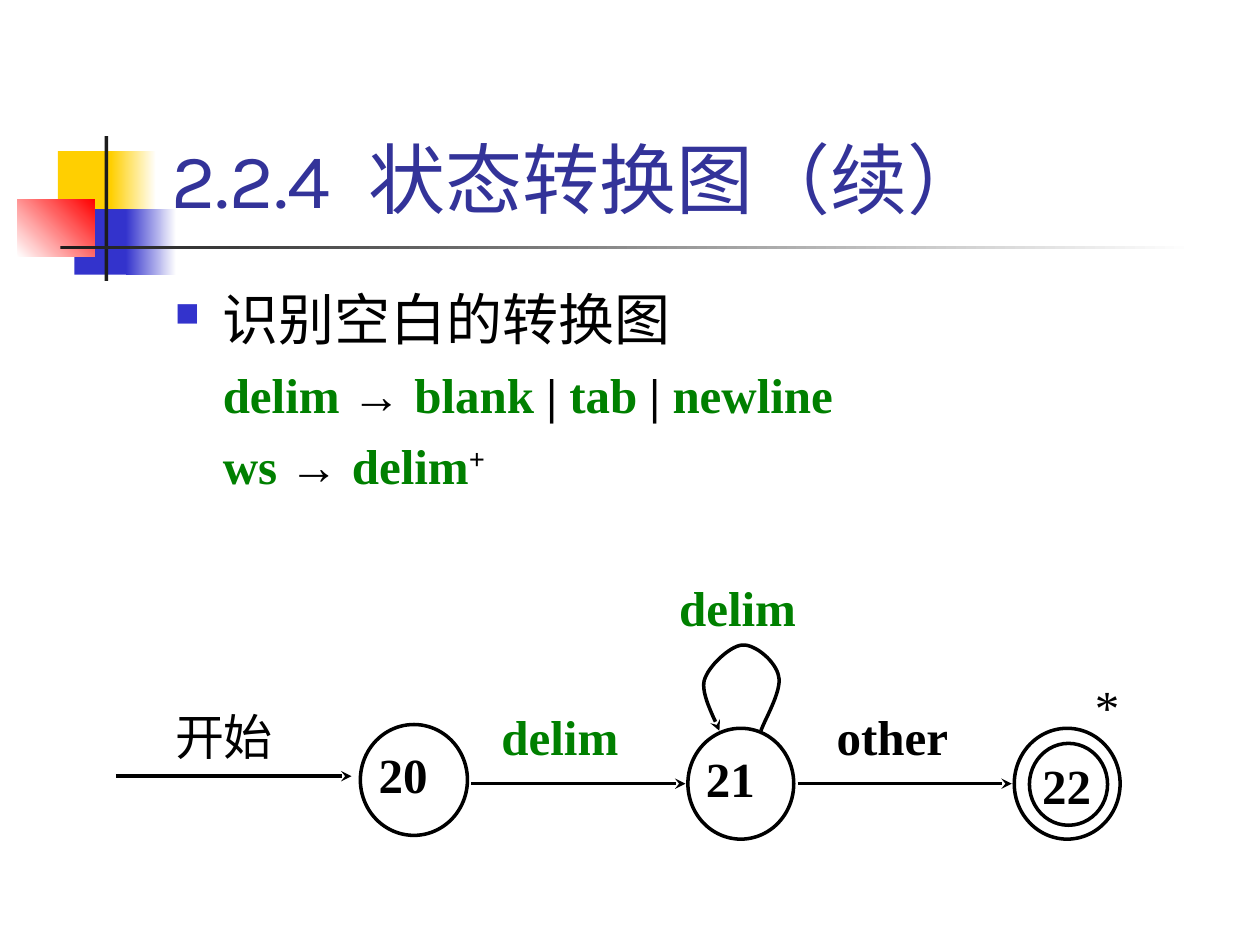
from dataclasses import dataclass

import pptx
import pptx.dml.color
import pptx.enum.shapes
import pptx.enum.text
import pptx.oxml
import pptx.oxml.ns
import pptx.util
from pptx.util import Inches

BLACK, GREEN, WHITE, BLUE = "000000", "008000", "FFFFFF", "3333CC"
YELLOW, DARK = "FFCF01", "1C1C1C"
SERIF, SANS = "Times New Roman", "Karla"
SHAPES = pptx.enum.shapes.MSO_SHAPE


@dataclass
class Piece:
    text: str
    color: str = BLACK
    font: str = SERIF
    size: float = 28
    bold: bool = True
    attribute: tuple = ()


@dataclass
class Band:
    box: tuple
    colors: tuple
    angle: float = 0


@dataclass
class State:
    box: tuple
    name: str = ""
    insets: tuple = (0.02, 0.03, 0.02, 0.05)


@dataclass
class Label:
    box: tuple
    piece: Piece
    inset_y: float = 0.03


def rgb(color: str):
    return pptx.dml.color.RGBColor.from_string(color)


def lengths(values: tuple) -> list:
    return [Inches(value) for value in values]


def add_element(parent, tag: str, **attributes):
    element = pptx.oxml.parse_xml(f"<{tag} {pptx.oxml.ns.nsdecls('a')}/>")
    for name, value in attributes.items():
        element.set(name, value)
    parent.append(element)
    return element


def set_frame(frame, insets: tuple, anchor=pptx.enum.text.MSO_ANCHOR.TOP):
    frame.word_wrap = True
    frame.auto_size = pptx.enum.text.MSO_AUTO_SIZE.NONE
    frame.vertical_anchor = anchor
    (frame.margin_left, frame.margin_top,
     frame.margin_right, frame.margin_bottom) = lengths(insets)


def write(paragraph, pieces: list):
    paragraph.alignment = pptx.enum.text.PP_ALIGN.LEFT
    for piece in pieces:
        run = paragraph.add_run()
        run.text = piece.text
        run.font.name = piece.font
        run.font.size = pptx.util.Pt(piece.size)
        run.font.bold = piece.bold
        run.font.color.rgb = rgb(piece.color)
        if piece.attribute:
            run.font._element.set(*piece.attribute)


def style_line(shape, arrow: bool = False):
    shape.line.color.rgb = rgb(BLACK)
    shape.line.width = pptx.util.Pt(2)
    if arrow:
        add_element(shape.line._get_or_add_ln(), "a:tailEnd", type="stealth")


def add_band(slide, band: Band):
    shape = slide.shapes.add_shape(SHAPES.RECTANGLE, *lengths(band.box))
    shape.shadow.inherit = False
    shape.line.fill.background()
    if len(band.colors) == 1:
        shape.fill.solid()
        shape.fill.fore_color.rgb = rgb(band.colors[0])
        return
    shape.fill.gradient()
    shape.fill.gradient_angle = band.angle
    for stop, color in zip(shape.fill.gradient_stops, band.colors):
        stop.color.rgb = rgb(color)


def add_state(slide, state: State):
    shape = slide.shapes.add_shape(SHAPES.OVAL, *lengths(state.box))
    shape.shadow.inherit = False
    shape.fill.background()
    style_line(shape)
    if state.name:
        set_frame(shape.text_frame, state.insets)
        write(shape.text_frame.paragraphs[0], [Piece(state.name)])


def add_label(slide, label: Label):
    frame = slide.shapes.add_textbox(*lengths(label.box)).text_frame
    set_frame(frame, (0.06, label.inset_y, 0.06, label.inset_y))
    write(frame.paragraphs[0], [label.piece])


def add_arrow(slide, start: float, end: float, y: float):
    connector = slide.shapes.add_connector(
        pptx.enum.shapes.MSO_CONNECTOR.STRAIGHT, *lengths((start, y, end, y)))
    style_line(connector, arrow=True)
    add_element(connector._element.spPr, "a:effectLst")


def curve_points(points: list, steps: int = 16) -> list:
    result = []
    for first in range(0, len(points) - 1, 3):
        a, b, c, d = points[first:first + 4]
        for step in range(1, steps + 1):
            t = step / steps
            u = 1 - t
            result.append(tuple(
                Inches(u**3 * a[i] + 3 * u * u * t * b[i] + 3 * u * t * t * c[i] + t**3 * d[i])
                for i in (0, 1)))
    return result


def add_loop(slide, points: list):
    builder = slide.shapes.build_freeform(*lengths(points[0]))
    builder.add_line_segments(curve_points(points), close=False)
    shape = builder.convert_to_shape()
    shape.shadow.inherit = False
    shape.fill.background()
    style_line(shape, arrow=True)


def add_title(slide):
    title = slide.shapes.title
    title.left, title.top, title.width, title.height = lengths((1.26, 0.23, 8.52, 1.6))
    set_frame(title.text_frame, (0.1, 0.05, 0.1, 0.05), pptx.enum.text.MSO_ANCHOR.BOTTOM)
    style = dict(color="333399", font=SANS, size=44, bold=False)
    write(title.text_frame.paragraphs[0], [
        Piece("2.2.4", **style),
        Piece(" ", attribute=("spc", "1100"), **style),
        Piece("状态转换图（续）", **style)])


def add_body(slide):
    frame = slide.shapes.add_textbox(*lengths((1.29, 2.21, 8.5, 4.5))).text_frame
    set_frame(frame, (0.1, 0.05, 0.1, 0.05))
    arrow = Piece("→ ", font="Arial")
    lines = [
        [Piece("识别空白的转换图", font=SANS, size=32, bold=False)],
        [Piece("delim ", GREEN), arrow, Piece("blank", GREEN), Piece(" | "),
         Piece("tab", GREEN), Piece(" | "), Piece("newline", GREEN)],
        [Piece("ws ", GREEN), arrow, Piece("delim", GREEN),
         Piece("+", attribute=("baseline", "30000"))],
    ]
    for index, pieces in enumerate(lines):
        paragraph = frame.add_paragraph() if index else frame.paragraphs[0]
        properties = paragraph._p.get_or_add_pPr()
        properties.set("marL", str(Inches(0.38)))
        if index:
            paragraph.space_before = pptx.util.Pt(7)
        else:
            properties.set("indent", str(-Inches(0.38)))
            add_element(add_element(properties, "a:buClr"), "a:srgbClr", val=BLUE)
            add_element(properties, "a:buSzPct", val="60000")
            add_element(properties, "a:buChar", char="■")
        write(paragraph, pieces)


BANDS = [
    Band((0.46, 1.2, 0.48, 0.52), (YELLOW,)),
    Band((0.88, 1.2, 0.36, 0.52), (YELLOW, WHITE)),
    Band((0.59, 1.66, 0.46, 0.52), (BLUE,)),
    Band((1, 1.66, 0.4, 0.52), (BLUE, WHITE)),
    Band((0.14, 1.58, 0.61, 0.46), (WHITE, "FF0000"), 45),
    Band((0.83, 1.08, 0.03, 1.15), (DARK,)),
    Band((0.48, 1.95, 9, 0.03), (DARK, WHITE)),
]
STATES = [
    State((2.86, 5.75, 0.85, 0.88), "20"),
    State((5.46, 5.78, 0.84, 0.88), "21"),
    State((8.05, 5.78, 0.84, 0.88)),
    State((8.17, 5.9, 0.62, 0.65), "22", (0.01, 0, 0.01, 0)),
]
ARROWS = [(0.92, 2.79, 6.16), (3.74, 5.44, 6.22), (6.33, 8.03, 6.22)]
LABELS = [
    Label((1.33, 5.58, 1.37, 0.84), Piece("开始", bold=False)),
    Label((3.92, 5.58, 1.79, 0.84), Piece("delim", GREEN)),
    Label((6.58, 5.58, 1.79, 0.84), Piece("other")),
    Label((8.63, 5.34, 0.62, 0.84), Piece("*", bold=False)),
    Label((5.33, 4.58, 1.52, 0.59), Piece("delim", GREEN), 0),
]
LOOP = [(6.04, 5.8), (6.06, 5.73), (6.21, 5.48), (6.18, 5.37), (6.16, 5.25),
        (5.99, 5.11), (5.89, 5.12), (5.79, 5.13), (5.62, 5.29), (5.59, 5.4),
        (5.56, 5.51), (5.68, 5.72), (5.71, 5.8)]


def main():
    presentation = pptx.Presentation()
    presentation.slide_width, presentation.slide_height = Inches(10), Inches(7.5)
    slide = presentation.slides.add_slide(presentation.slide_layouts[5])
    for band in BANDS:
        add_band(slide, band)
    add_title(slide)
    add_body(slide)
    for state in STATES:
        add_state(slide, state)
    for arrow in ARROWS:
        add_arrow(slide, *arrow)
    for label in LABELS:
        add_label(slide, label)
    add_loop(slide, LOOP)
    presentation.save("out.pptx")


if __name__ == "__main__":
    main()
